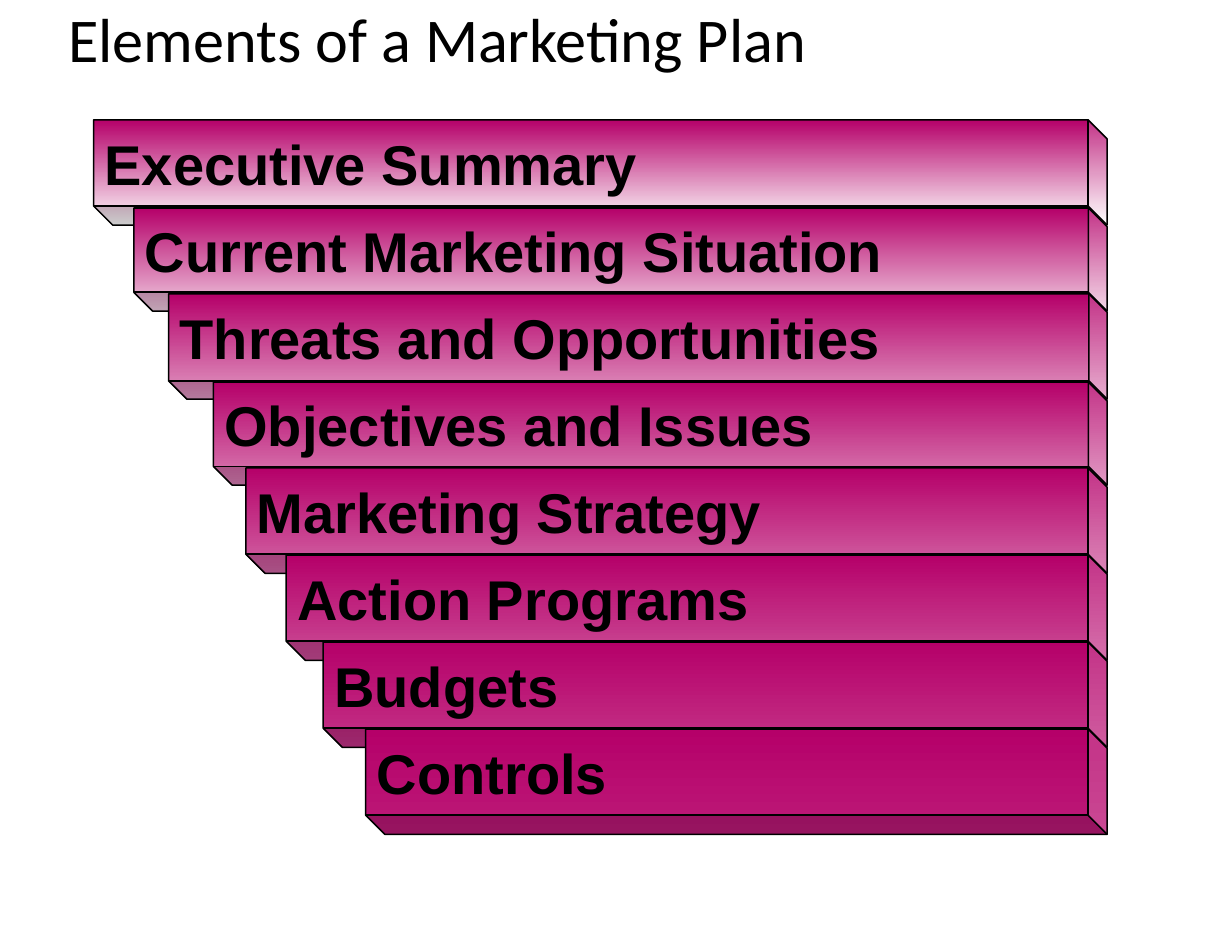
"""Build a slide of stepped bars naming the elements of a marketing plan."""
from pptx import Presentation
from pptx.dml.color import RGBColor
from pptx.enum.shapes import MSO_SHAPE
from pptx.enum.text import MSO_ANCHOR, PP_ALIGN
from pptx.util import Inches, Pt

CUBE = MSO_SHAPE.CUBE
MIDDLE = MSO_ANCHOR.MIDDLE
LEFT = PP_ALIGN.LEFT
BLACK = RGBColor(0x00, 0x00, 0x00)
MAGENTA = RGBColor(0xB5, 0x00, 0x69)

RIGHT_EDGE = 9.885
FIRST_CENTRE = 1.54
LAST_CENTRE = 6.98

# Label, length, thickness, depth ratio, lower gradient colour
BARS = [
    ("Executive Summary", 9.05, 0.94, 0.182, RGBColor(0xFF, 0xFF, 0xFF)),
    ("Current Marketing Situation", 8.69, 0.92, 0.182, RGBColor(0xF0, 0xCC, 0xE1)),
    ("Threats and Opportunities", 8.38, 0.94, 0.174, RGBColor(0xE1, 0x99, 0xC3)),
    ("Objectives and Issues", 7.98, 0.92, 0.182, RGBColor(0xDA, 0x7F, 0xB4)),
    ("Marketing Strategy", 7.69, 0.94, 0.182, RGBColor(0xD3, 0x66, 0xA5)),
    ("Action Programs", 7.33, 0.94, 0.182, RGBColor(0xCB, 0x4C, 0x96)),
    ("Budgets", 7.0, 0.94, 0.182, RGBColor(0xC4, 0x33, 0x87)),
    ("Controls", 6.62, 0.94, 0.182, RGBColor(0xBD, 0x1A, 0x78)),
]


def write_text(frame, text, *, font, size, bold=False, spacing=None, wrap=True):
    """Write one left-aligned, vertically centred paragraph."""
    frame.word_wrap = wrap
    frame.vertical_anchor = MIDDLE
    para = frame.paragraphs[0]
    para.alignment = LEFT
    para.line_spacing = spacing
    span = para.add_run()
    span.text = text
    span.font.name = font
    span.font.size = Pt(size)
    span.font.bold = bold
    span.font.color.rgb = BLACK


def fill_downward(shape, top_colour, bottom_colour):
    """Fill with a gradient that runs down the page despite the rotation."""
    shape.fill.gradient()
    stops = shape.fill.gradient_stops
    for stop, position, colour in zip(stops, (0, 1), (top_colour, bottom_colour)):
        stop.position = position
        stop.color.rgb = colour
    shape.fill.gradient_angle = 270
    shape.element.spPr.find("{*}gradFill").set("rotWithShape", "0")


def add_bar(page, centre_y, label, length, thickness, depth, colour):
    """Add a cube turned on its side, with its label kept upright."""
    centre_x = RIGHT_EDGE - length / 2
    bar = page.shapes.add_shape(
        CUBE, Inches(centre_x - thickness / 2), Inches(centre_y - length / 2),
        Inches(thickness), Inches(length))
    bar.rotation = 90
    bar.adjustments[0] = depth
    bar.shadow.inherit = False
    fill_downward(bar, MAGENTA, colour)
    bar.line.color.rgb = BLACK
    bar.line.width = Pt(1)
    write_text(bar.text_frame, label, font="Arial", size=36, bold=True, wrap=False)
    body = bar.element.txBody.bodyPr
    body.set("rot", "10800000")
    body.set("vert", "eaVert")


def add_title(page, text):
    """Add the slide title."""
    box = page.shapes.add_textbox(Inches(0.51), Inches(0.02), Inches(7.82), Inches(0.71))
    write_text(box.text_frame, text, font="Calibri", size=40, spacing=0.9)


def main():
    """Build and save the deck."""
    deck = Presentation()
    deck.slide_width = Inches(11)
    deck.slide_height = Inches(8.5)
    page = deck.slides.add_slide(deck.slide_layouts[6])
    add_title(page, "Elements of a Marketing Plan")
    pitch = (LAST_CENTRE - FIRST_CENTRE) / (len(BARS) - 1)
    for index, bar in enumerate(BARS):
        add_bar(page, FIRST_CENTRE + index * pitch, *bar)
    deck.save("out.pptx")


if __name__ == "__main__":
    main()
